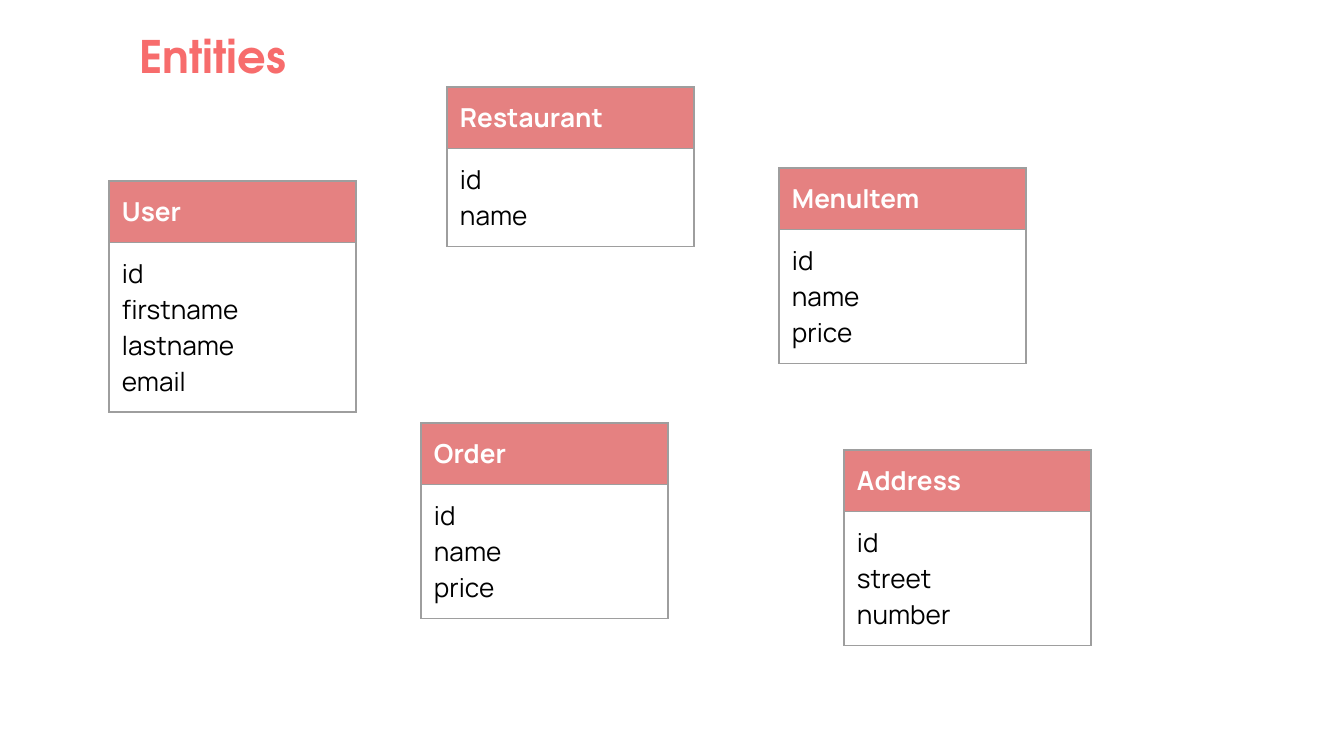
from lxml.etree import SubElement
from pptx import Presentation
from pptx.dml.color import RGBColor
from pptx.enum.text import MSO_ANCHOR as Anchor, MSO_AUTO_SIZE as AutoSize, PP_ALIGN as Align
from pptx.oxml.ns import qn
from pptx.util import Emu, Pt

SCALE = 914400 / 134.4
INSET = 13
ROW_HEIGHT = 56
COLUMN_WIDTH = 247
FRAME = 441

ENTITIES = [
    ("User", (109, 181), ["id", "firstname", "lastname", "email"]),
    ("Restaurant", (447, 87), ["id", "name"]),
    ("MenuItem", (779, 168), ["id", "name", "price"]),
    ("Order", (421, 423), ["id", "name", "price"]),
    ("Address", (844, 450), ["id", "street", "number"]),
]


def px(length):
    """Turn pixels into EMU."""
    return Emu(round(length * SCALE))


def color(value):
    """Turn a hex string into a colour."""
    return RGBColor.from_string(value)


def set_insets(holder):
    """Give a cell or text frame equal insets."""
    holder.margin_left = holder.margin_right = px(INSET)
    holder.margin_top = holder.margin_bottom = px(INSET)


def add_span(para, text, font, size, hue, bold):
    """Add one formatted run to a paragraph."""
    span = para.add_run()
    span.text = text
    span.font.name = font
    span.font.size = Pt(size)
    span.font.bold = bold
    span.font.color.rgb = color(hue)


def add_borders(cell, hue, width):
    """Draw a solid line on all four sides of a cell."""
    properties = cell._tc.get_or_add_tcPr()
    for side in ("lnL", "lnR", "lnT", "lnB"):
        line = SubElement(properties, qn(f"a:{side}"), w=str(Pt(width)))
        fill = SubElement(line, qn("a:solidFill"))
        SubElement(fill, qn("a:srgbClr"), val=hue)


def fill_cell(cell, lines, hue, bold):
    """Write one paragraph per line into a bordered cell."""
    set_insets(cell)
    add_borders(cell, "9E9E9E", 0.75)
    frame = cell.text_frame
    for index, text in enumerate(lines):
        para = frame.add_paragraph() if index else frame.paragraphs[0]
        add_span(para, text, "Manrope", 14, hue, bold)


def add_title(page, box, text):
    """Place the slide title in its placeholder."""
    title = page.shapes.title
    title.left, title.top, title.width, title.height = map(px, box)
    frame = title.text_frame
    frame.auto_size = AutoSize.NONE
    frame.vertical_anchor = Anchor.MIDDLE
    set_insets(frame)
    para = frame.paragraphs[0]
    para.alignment = Align.LEFT
    add_span(para, text, "TeX Gyre Adventor", 24, "F76C6C", True)


def add_entity(page, corner, name, fields):
    """Place an entity table with a name row and a field row."""
    left, top = map(px, corner)
    holder = page.shapes.add_table(2, 1, left, top, px(COLUMN_WIDTH), px(2 * ROW_HEIGHT))
    holder.width = holder.height = px(FRAME)
    table = holder.table
    table.horz_banding = False
    header, body = table.cell(0, 0), table.cell(1, 0)
    fill_cell(header, [name], "FFFFFF", True)
    fill_cell(body, fields, "000000", False)
    header.fill.solid()
    header.fill.fore_color.rgb = color("E06666")
    tint = header._tc.tcPr.find(f"{qn('a:solidFill')}/{qn('a:srgbClr')}")
    SubElement(tint, qn("a:alpha"), val="82000")
    body.fill.background()


def main():
    """Build the entities slide."""
    deck = Presentation()
    deck.slide_width, deck.slide_height = px(1344), px(756)
    page = deck.slides.add_slide(deck.slide_layouts[5])
    add_title(page, (126, 3, 344, 106), "Entities")
    for name, corner, fields in ENTITIES:
        add_entity(page, corner, name, fields)
    deck.save("out.pptx")


if __name__ == "__main__":
    main()
